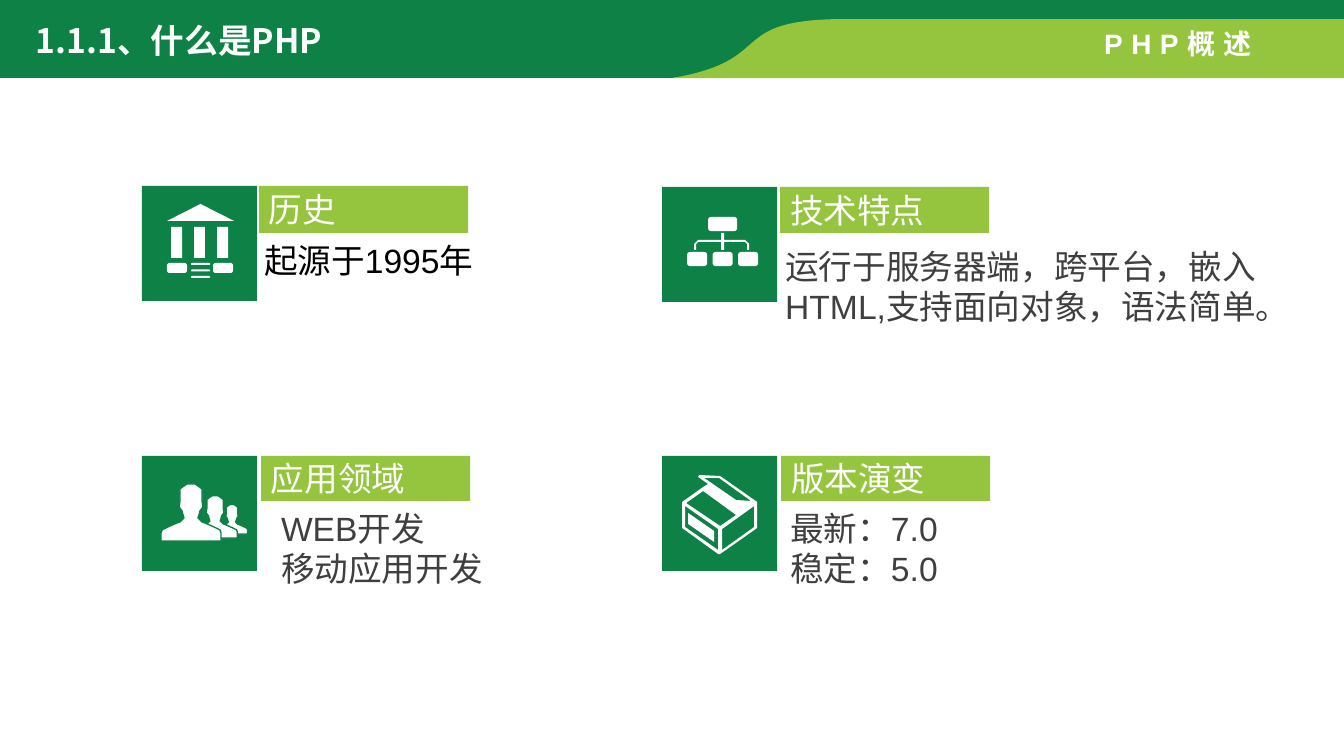
from dataclasses import dataclass

from pptx import Presentation
from pptx.dml.color import RGBColor
from pptx.enum.shapes import MSO_SHAPE as SHAPE
from pptx.enum.text import MSO_ANCHOR as ANCHOR, MSO_AUTO_SIZE as AUTO
from pptx.util import Emu, Inches, Pt

SCALE = 914400 / 100.8


@dataclass(frozen=True)
class Theme:
    green: str = "0E8146"
    lime: str = "95C53E"
    white: str = "FFFFFF"
    black: str = "000000"
    gray: str = "3F3F3F"
    latin: str = "Arial"
    cjk: str = "Noto Sans CJK SC"
    size: int = 24
    small: int = 20


THEME = Theme()

CARDS = [
    ((142, 186), (259, 186, 209, 47), "历史",
     (251, 233, 349, 54), ["起源于1995年"], THEME.black),
    ((662, 187), (780, 187, 209, 46), "技术特点",
     (772, 239, 515, 95), ["运行于服务器端，跨平台，嵌入HTML,支持面向对象，语法简单。"], THEME.gray),
    ((142, 456), (261, 456, 209, 45), "应用领域",
     (268, 501, 309, 95), ["WEB开发", "移动应用开发"], THEME.gray),
    ((662, 456), (781, 456, 209, 45), "版本演变",
     (777, 501, 349, 95), ["最新：7.0", "稳定：5.0"], THEME.gray),
]
TILE = 115

HALF_PERSON = [(4, 1), (7, 3), (11, 6), (11, 18), (12, 24), (9, 28), (8, 32),
               (7, 35), (11, 39), (14, 40), (23, 44), (29, 47), (30, 50), (30, 58)]
PERSON_HEIGHT = 58

TREE_LINES = [(694, 250), (694, 244), (698, 240), (721, 240), (721, 233),
              (724, 233), (724, 240), (745, 240), (749, 244), (749, 250),
              (747, 250), (747, 244), (745, 242), (724, 242), (724, 250),
              (721, 250), (721, 242), (698, 242), (696, 244), (696, 250)]

BOX = [
    [(682, 502), (703, 487), (708, 484), (698, 477), (699, 475), (720, 476),
     (757, 502), (757, 528), (720, 554), (718, 554), (682, 528)],
    [(704, 478), (719, 478), (751, 501), (736, 500)],
    [(718, 550), (685, 527), (685, 506), (718, 529)],
    [(720, 526), (686, 503), (703, 491), (736, 515)],
    [(754, 527), (722, 550), (722, 529), (754, 506)],
    [(714, 531), (688, 513), (688, 524), (714, 542)],
]


def px(n):
    return Emu(round(n * SCALE))


def rgb(color):
    return RGBColor.from_string(color)


def paint(sp, color, outline=None):
    sp.shadow.inherit = False
    sp.fill.solid()
    sp.fill.fore_color.rgb = rgb(color)
    if outline:
        sp.line.color.rgb = rgb(outline)
        sp.line.width = Pt(1)
    else:
        sp.line.fill.background()


def add_block(slide, box, color, kind=SHAPE.RECTANGLE, corner=None):
    sp = slide.shapes.add_shape(kind, *map(px, box))
    paint(sp, color)
    if corner is not None:
        sp.adjustments[0] = corner
    return sp


def add_outline(slide, contours, color, outline=None):
    contours = [[(px(x), px(y)) for x, y in pts] for pts in contours]
    fb = slide.shapes.build_freeform(*contours[0][0], scale=1.0)
    for i, pts in enumerate(contours):
        if i:
            fb.move_to(*pts[0])
        fb.add_line_segments(pts[1:], close=True)
    paint(fb.convert_to_shape(), color, outline)


def curve(a, b, c, d, steps=32):
    def point(t):
        u = 1 - t
        weights = (u ** 3, 3 * u * u * t, 3 * u * t * t, t ** 3)
        return tuple(sum(w * p[k] for w, p in zip(weights, (a, b, c, d)))
                     for k in (0, 1))
    return [point(i / steps) for i in range(steps + 1)]


def write(tf, lines, color, font, size=THEME.size, bold=False, spacing=0):
    for i, line in enumerate(lines):
        p = tf.add_paragraph() if i else tf.paragraphs[0]
        r = p.add_run()
        r.text = line
        p.font.name = font
        p.font.size = Pt(size)
        p.font.bold = bold
        p.font.color.rgb = rgb(color)
        if spacing:
            r._r.get_or_add_rPr().set("spc", str(spacing * 100))


def add_text(slide, box, lines, color, font, wrap=True, inset=None, **style):
    tf = slide.shapes.add_textbox(*map(px, box)).text_frame
    tf.word_wrap = wrap
    tf.auto_size = AUTO.SHAPE_TO_FIT_TEXT
    if inset:
        tf.margin_left = tf.margin_right = px(inset[0])
        tf.margin_top = tf.margin_bottom = px(inset[1])
    write(tf, lines, color, font, **style)


def add_card(slide, tile, tag, title, body, lines, color):
    add_block(slide, (*tile, TILE, TILE), THEME.green)
    tf = add_block(slide, tag, THEME.lime).text_frame
    tf.vertical_anchor = ANCHOR.MIDDLE
    write(tf, [title], THEME.white, THEME.cjk)
    tf.paragraphs[0].alignment = 1
    add_text(slide, body, lines, color, THEME.latin, inset=(13, 7))


def add_temple(slide):
    add_block(slide, (167, 204, 67, 17), THEME.white, SHAPE.ISOSCELES_TRIANGLE)
    for i in range(3):
        add_block(slide, (171 + 23 * i, 227, 11, 31), THEME.white)
        add_block(slide, (191, 263 + 6.5 * i, 19, 2), THEME.white,
                  SHAPE.ROUNDED_RECTANGLE, 0.5)
    for x in (167, 213):
        add_block(slide, (x, 263, 20, 10), THEME.white, SHAPE.ROUNDED_RECTANGLE, 0.25)


def add_tree(slide):
    add_outline(slide, [TREE_LINES], THEME.white)
    nodes = [(708, 217, 29, 14)] + [(687 + 25.5 * i, 252, 20, 14) for i in range(3)]
    for node in nodes:
        add_block(slide, node, THEME.white, SHAPE.ROUNDED_RECTANGLE, 0.2)


def add_person(slide, center, top, height):
    k = height / PERSON_HEIGHT
    right = [(center + x * k, top + y * k) for x, y in HALF_PERSON]
    left = [(2 * center - x, y) for x, y in reversed(right)]
    add_outline(slide, [right + left], THEME.white, THEME.green)


def add_header(slide):
    dark = [(0, 0), (1344, 0), (1344, 24), (834, 24)]
    dark += curve((815, 28), (733, 44), (776, 78), (660, 78)) + [(0, 78)]
    light = curve((672, 78), (779, 60), (723, 19), (846, 19))
    light += [(1344, 19), (1344, 78)]
    add_outline(slide, [dark], THEME.green)
    add_outline(slide, [light], THEME.lime)
    add_text(slide, (1094, 22, 177, 44), ["PHP概述"], THEME.white, THEME.latin,
             wrap=False, size=THEME.small, bold=True, spacing=6)
    add_text(slide, (26, 15, 380, 50), ["1.1.1、什么是PHP"], THEME.white,
             THEME.cjk, bold=True)


def main():
    prs = Presentation()
    prs.slide_width, prs.slide_height = Inches(13.33), Inches(7.5)
    slide = prs.slides.add_slide(prs.slide_layouts[6])
    for card in CARDS:
        add_card(slide, *card)
    add_temple(slide)
    add_tree(slide)
    for center, top, height in ((232, 504, 30), (215, 495, 43), (191, 483, 58)):
        add_person(slide, center, top, height)
    add_outline(slide, BOX, THEME.white)
    add_header(slide)
    prs.save("out.pptx")


main()
